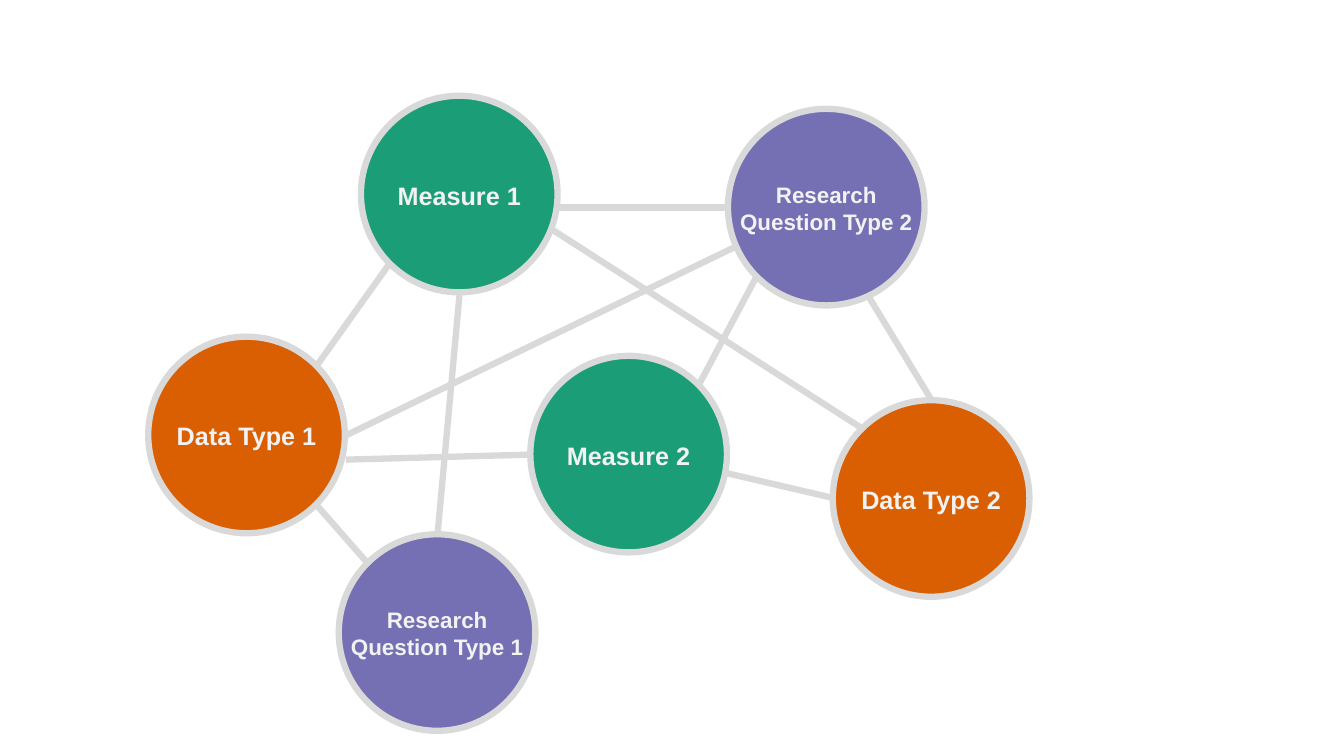
"""Build a slide that links data types, measures and research questions."""
from lxml.etree import SubElement
from pptx import Presentation
from pptx.dml.color import RGBColor
from pptx.enum.shapes import MSO_CONNECTOR as Conn, MSO_SHAPE as Shape
from pptx.enum.text import MSO_ANCHOR as Anchor, PP_ALIGN as Align
from pptx.oxml.ns import qn
from pptx.util import Inches, Pt

GRAY = RGBColor(0xD9, 0xD9, 0xD9)
PALE = RGBColor(0xF2, 0xF2, 0xF2)
ORANGE = RGBColor(0xD9, 0x5F, 0x02)
GREEN = RGBColor(0x1B, 0x9E, 0x77)
PURPLE = RGBColor(0x75, 0x70, 0xB3)
SIZE = 1.95

deck = Presentation()
deck.slide_width, deck.slide_height = Inches(13.33), Inches(7.5)
slide = deck.slides.add_slide(deck.slide_layouts[6])


def add_text(text, left, top, width, height, size=18, color=PALE, bold=True):
    box = slide.shapes.add_textbox(Inches(left), Inches(top), Inches(width), Inches(height))
    frame = box.text_frame
    frame.word_wrap = False
    frame.vertical_anchor = Anchor.TOP
    frame.text = text
    for para in frame.paragraphs:
        para.alignment = Align.CENTER
        font = para.font
        font.name, font.size, font.bold = "Arial", Pt(size), bold
        font.color.rgb = color


links = [
    (4.74, 2.06, 7.22, 2.06),
    (3.14, 3.63, 3.86, 2.62),
    (3.43, 4.32, 7.29, 2.45),
    (7.5, 2.75, 6.93, 3.82),
    (7.19, 4.69, 8.26, 4.94),
    (8.62, 2.95, 9.24, 3.97),
    (5.48, 2.28, 8.55, 4.25),
    (3.14, 5.01, 3.64, 5.58),
    (3.43, 4.56, 5.26, 4.51),
    (4.56, 2.9, 4.34, 5.3),
]
for ends in links:
    link = slide.shapes.add_connector(Conn.STRAIGHT, *map(Inches, ends))
    link.line.color.rgb = GRAY
    link.line.width = Pt(4.5)
    SubElement(link.element.spPr, qn("a:effectLst"))

short = dict(width=1.44, height=0.4, size=18)
mid = dict(width=1.6, height=0.4, size=18)
tall = dict(width=1.93, height=0.64, size=16)
nodes = [
    ("Data Type 1", 1.47, 3.34, ORANGE, mid),
    ("Measure 1", 3.58, 0.95, GREEN, short),
    ("Research\nQuestion Type 2", 7.22, 1.08, PURPLE, tall),
    ("Measure 2", 5.26, 3.53, GREEN, short),
    ("Data Type 2", 8.26, 3.97, ORANGE, mid),
    ("Research\nQuestion Type 1", 3.36, 5.3, PURPLE, tall),
]
for text, left, top, color, form in nodes:
    node = slide.shapes.add_shape(
        Shape.OVAL, Inches(left), Inches(top), Inches(SIZE), Inches(SIZE))
    node.shadow.inherit = False
    node.fill.solid()
    node.fill.fore_color.rgb = color
    node.line.color.rgb = GRAY
    node.line.width = Pt(4.5)
    inset = (SIZE - form["width"]) / 2
    drop = (SIZE - form["height"]) / 2 + 0.01
    add_text(text, left + inset, top + drop, **form)

deck.save("out.pptx")
